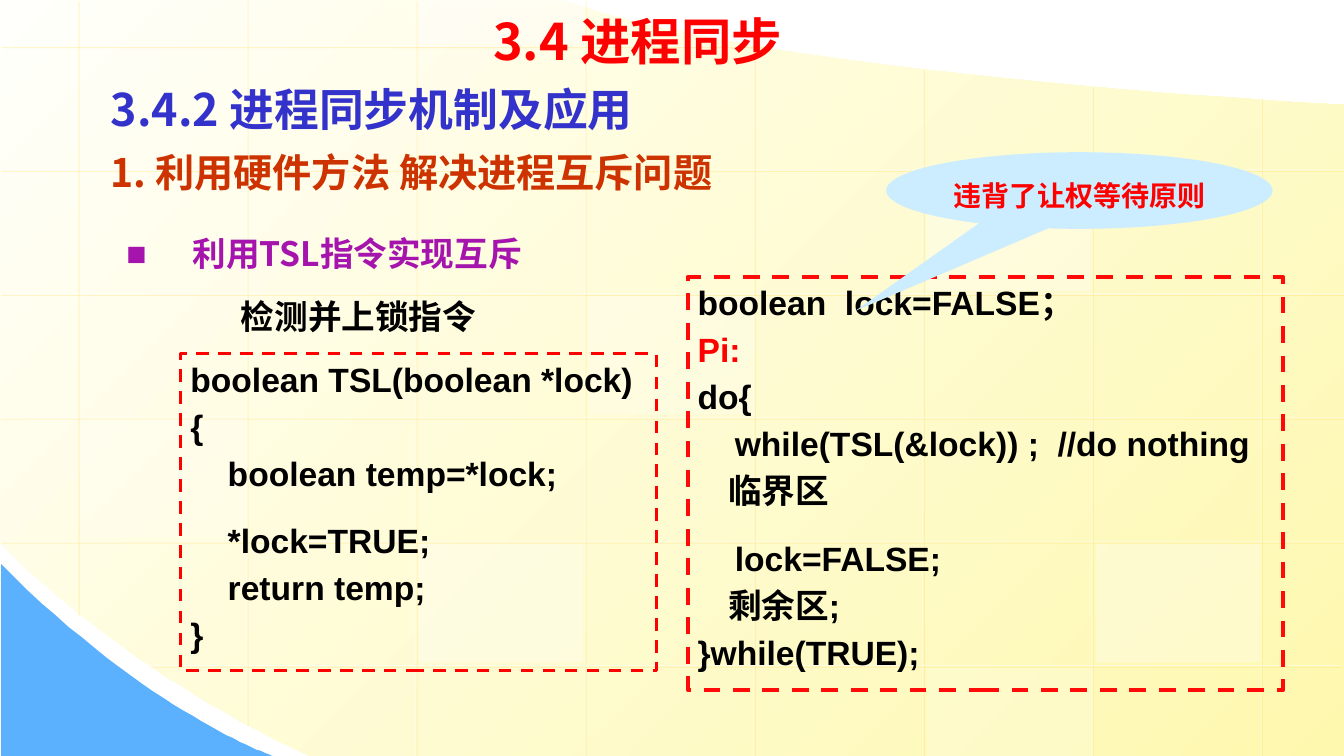
"""Build a slide on process synchronisation with the TSL instruction."""
from lxml import etree
from pptx import Presentation
from pptx import util as u
from pptx.dml.color import RGBColor
from pptx.enum import dml, shapes, text
from pptx.oxml import ns, parse_xml

PX = 9525
CJK, LATIN = "Noto Sans CJK SC", "Arial"
WHITE, BLACK = RGBColor(255, 255, 255), RGBColor(0, 0, 0)
RED, CODE_RED = RGBColor(255, 0, 0), RGBColor(255, 9, 9)
CREAM, YELLOW = RGBColor(0xFF, 0xFF, 0xFB), RGBColor(0xFE, 0xF8, 0xAF)
SKY, PALE_BLUE = RGBColor(0x5C, 0xB1, 0xFE), RGBColor(0xCC, 0xEC, 0xFF)
BLUE, RUST = RGBColor(0x33, 0x33, 0xCC), RGBColor(0xCC, 0x33, 0)
PURPLE = RGBColor(0xA5, 0x14, 0xAC)

GRID_TOPS = [0, 0, 0, 0, 41, 65, 82, 94]
GRID_BOTTOMS = [585, 690] + [720] * 6
GRID_ROWS = [(0, 727)] + [(0, 1280)] * 4 + [(142, 1276)]
PANELS = [(561, 282, 158, 113, 25), (1044, 518, 156, 113, 30),
          (77, 399, 158, 113, 20), (883, 636, 158, 84, 20),
          (398, 0, 158, 42, 40), (399, 518, 156, 113, 30),
          (882, 164, 156, 113, 30)]
TSL_CODE = ["boolean TSL(boolean *lock)", "{", "    boolean temp=*lock;",
            "    *lock=TRUE;", "    return temp;", "}"]
PROCESS_CODE = ["boolean  lock=FALSE；", "Pi:", "do{",
                "    while(TSL(&lock)) ;  //do nothing", "    临界区",
                "    lock=FALSE;", "    剩余区;", "}while(TRUE);"]
LOCK_CHANGES = ("    *lock=TRUE;", "    lock=FALSE;")


def px(*lengths):
    """Turn pixel lengths into EMU."""
    return [u.Emu(length * PX) for length in lengths]


def set_all(target, **values):
    """Set every given attribute on the target."""
    for name, value in values.items():
        setattr(target, name, value)


def set_alpha(fill, percent):
    """Make the solid colour inside a fill or line element translucent."""
    colour = fill.find(".//" + ns.qn("a:srgbClr"))
    etree.SubElement(colour, ns.qn("a:alpha"), val=str(percent * 1000))


def curve(start, first, second, end, steps=32):
    """Return points along a cubic curve, without its start."""
    points = []
    for step in range(1, steps + 1):
        t = step / steps
        weights = (1 - t) ** 3, 3 * t * (1 - t) ** 2, 3 * t * t * (1 - t), t ** 3
        points.append(tuple(
            sum(w * p[axis] for w, p in zip(weights, (start, first, second, end)))
            for axis in (0, 1)))
    return points


def add_area(slide, points):
    """Draw a closed, unlined area through the points."""
    builder = slide.shapes.build_freeform(*points[0], scale=PX)
    builder.add_line_segments(points[1:], close=True)
    area = builder.convert_to_shape()
    area.shadow.inherit = False
    area.line.fill.background()
    return area


def add_grid_line(slide, *ends):
    """Draw a faint white line with a yellow shadow."""
    line = slide.shapes.add_connector(shapes.MSO_CONNECTOR.STRAIGHT, *px(*ends))
    line.line.width = u.Pt(0.75)
    line.line.color.rgb = WHITE
    properties = line.line._get_or_add_ln()
    set_alpha(properties, 50)
    properties.getparent().append(parse_xml(
        f'<a:effectLst {ns.nsdecls("a")}><a:outerShdw dist="17780" dir="2700000">'
        '<a:srgbClr val="FFCC00"><a:alpha val="34000"/></a:srgbClr>'
        '</a:outerShdw></a:effectLst>'))


def add_backdrop(slide):
    """Draw the yellow field, blue corner, grid and light panels."""
    lower, upper = (295, 720), (539, 1)
    field = add_area(slide, [(1280, 100), (1280, 720), lower]
                     + curve(lower, (110, 635), (0, 517), (0, 517)) + [(0, 0), upper]
                     + curve(upper, upper, (686, 66), (1280, 100)))
    field.fill.gradient()
    field.fill.gradient_angle = 315
    for stop, colour in zip(field.fill.gradient_stops, (CREAM, YELLOW)):
        stop.color.rgb = colour
    tip = (260, 720)
    corner = add_area(slide, [(1, 537), (1, 720), tip]
                      + curve(tip, tip, (143, 681), (1, 537)))
    corner.fill.solid()
    corner.fill.fore_color.rgb = SKY
    for column, (top, bottom) in enumerate(zip(GRID_TOPS, GRID_BOTTOMS)):
        x = 74 + 161 * column
        add_grid_line(slide, x, top, x, bottom)
    for row, (left, right) in enumerate(GRID_ROWS):
        y = 44 + 118 * row
        add_grid_line(slide, right, y, left, y)
    for *place, alpha in PANELS:
        panel = add_box(slide, shapes.MSO_SHAPE.RECTANGLE, place, WHITE)
        set_alpha(panel._element.spPr, alpha)


def add_box(slide, preset, place, colour=None):
    """Draw an unlined preset shape, filled when a colour is given."""
    box = slide.shapes.add_shape(preset, *px(*place))
    box.shadow.inherit = False
    box.line.fill.background()
    if colour is None:
        box.fill.background()
    else:
        box.fill.solid()
        box.fill.fore_color.rgb = colour
    return box


def write(frame, lines, face, gap=0.2, align=text.PP_ALIGN.LEFT):
    """Fill a frame with (wording, colour, size, line spacing) lines."""
    for index, (wording, colour, size, spacing) in enumerate(lines):
        paragraph = frame.add_paragraph() if index else frame.paragraphs[0]
        set_all(paragraph, alignment=align, line_spacing=spacing,
                space_before=u.Pt(size * gap if index else 0))
        run = paragraph.add_run()
        run.text = wording
        set_all(run.font, size=u.Pt(size), name=face, bold=True)
        run.font.color.rgb = colour
        etree.SubElement(run._r.get_or_add_rPr(), ns.qn("a:ea"), typeface=CJK)


def add_title(slide, place, wording):
    """Place the title above the backdrop and fill it."""
    title = slide.shapes.title
    slide.shapes._spTree.append(title._element)
    set_all(title, **dict(zip(("left", "top", "width", "height"), px(*place))))
    set_all(title.text_frame, word_wrap=True, vertical_anchor=text.MSO_ANCHOR.MIDDLE)
    write(title.text_frame, [(wording, RED, 36, 1.0)], CJK)


def add_text(slide, place, lines, gap):
    """Add a wrapped text box and return its frame."""
    frame = slide.shapes.add_textbox(*px(*place)).text_frame
    frame.word_wrap = True
    write(frame, lines, CJK, gap)
    return frame


def indent(paragraph, margin, hanging=0, bullet=None):
    """Indent a paragraph and optionally give it a bullet."""
    properties = paragraph._p.get_or_add_pPr()
    properties.set("marL", str(margin * PX))
    properties.set("indent", str(-hanging * PX))
    if bullet:
        etree.SubElement(properties, ns.qn("a:buFont"), typeface=LATIN)
        etree.SubElement(properties, ns.qn("a:buChar"), char=bullet)


def add_code(slide, place, code, width, colour):
    """Add a dashed box of code."""
    box = add_box(slide, shapes.MSO_SHAPE.RECTANGLE, place)
    set_all(box.line, width=u.Pt(width), dash_style=dml.MSO_LINE.DASH)
    box.line.color.rgb = colour
    set_all(box.text_frame, word_wrap=True, vertical_anchor=text.MSO_ANCHOR.TOP)
    write(box.text_frame,
          [(line, RED if line == "Pi:" else BLACK, 24,
            1.5 if line in LOCK_CHANGES else 1.0) for line in code], LATIN)


def main():
    """Build and save the slide."""
    deck = Presentation()
    deck.slide_width, deck.slide_height = px(1280, 720)
    slide = deck.slides.add_slide(deck.slide_layouts[5])
    add_backdrop(slide)

    topic = add_text(slide, (111, 206, 589, 184),
                     [("利用TSL指令实现互斥", PURPLE, 24, 1.3),
                      ("检测并上锁指令", BLACK, 24, 1.3)], 0.3)
    indent(topic.paragraphs[0], 63, 63, "■")
    indent(topic.paragraphs[1], 109)
    add_title(slide, (460, 4, 407, 69), "3.4 进程同步")
    add_text(slide, (96, 68, 650, 126),
             [("3.4.2 进程同步机制及应用", BLUE, 32, 1.1),
              ("1. 利用硬件方法 解决进程互斥问题", RUST, 28, 1.1)], 0.2)
    add_code(slide, (172, 337, 453, 302), TSL_CODE, 2.25, RED)
    add_code(slide, (655, 264, 567, 393), PROCESS_CODE, 3, CODE_RED)

    callout = add_box(slide, shapes.MSO_SHAPE.OVAL_CALLOUT, (844, 145, 368, 73), PALE_BLUE)
    callout.adjustments[0], callout.adjustments[1] = -0.58, 1.57
    set_all(callout.text_frame, word_wrap=False, vertical_anchor=text.MSO_ANCHOR.MIDDLE)
    write(callout.text_frame, [("违背了让权等待原则", RED, 20, 1.3)], CJK,
          align=text.PP_ALIGN.CENTER)
    deck.save("out.pptx")


if __name__ == "__main__":
    main()
